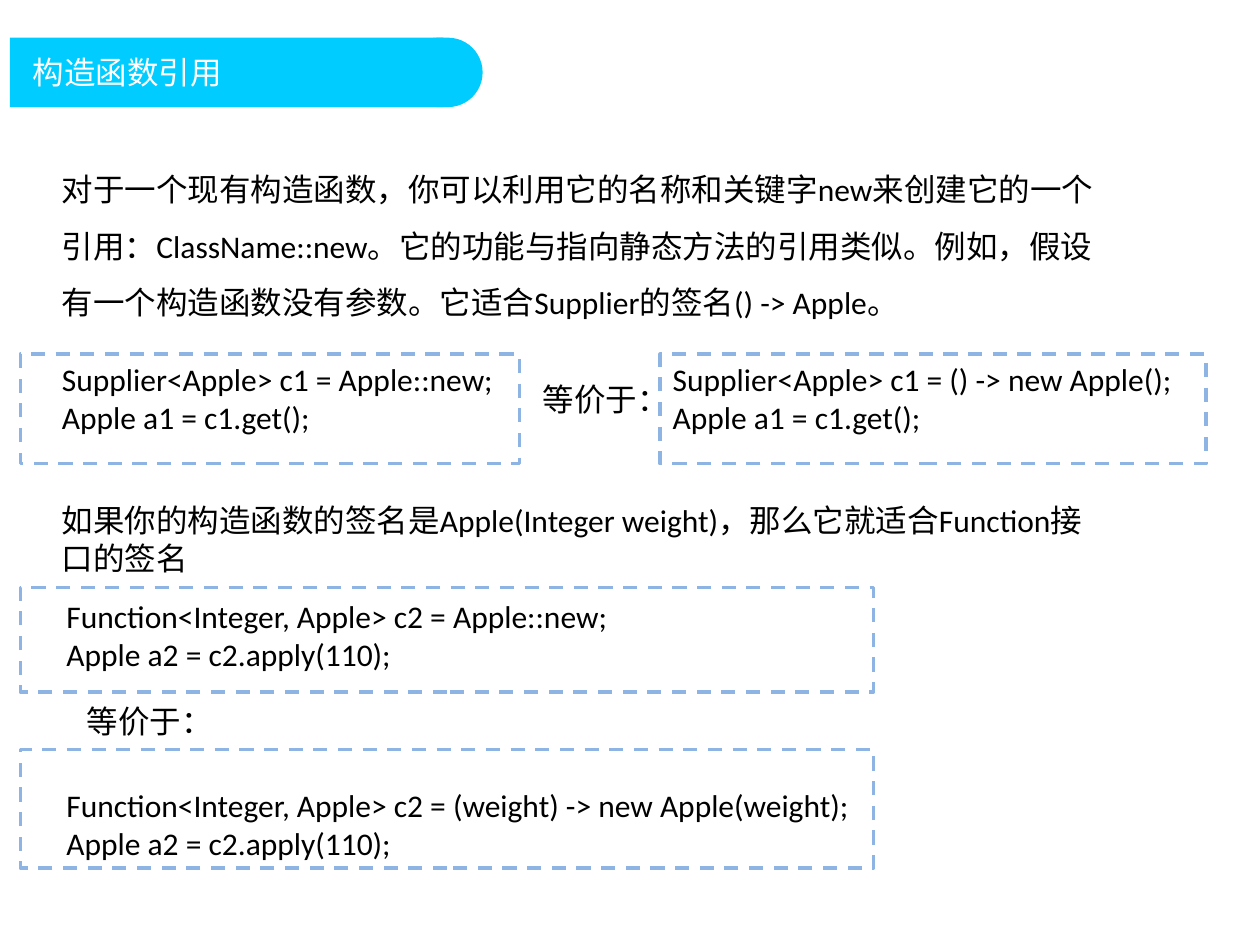
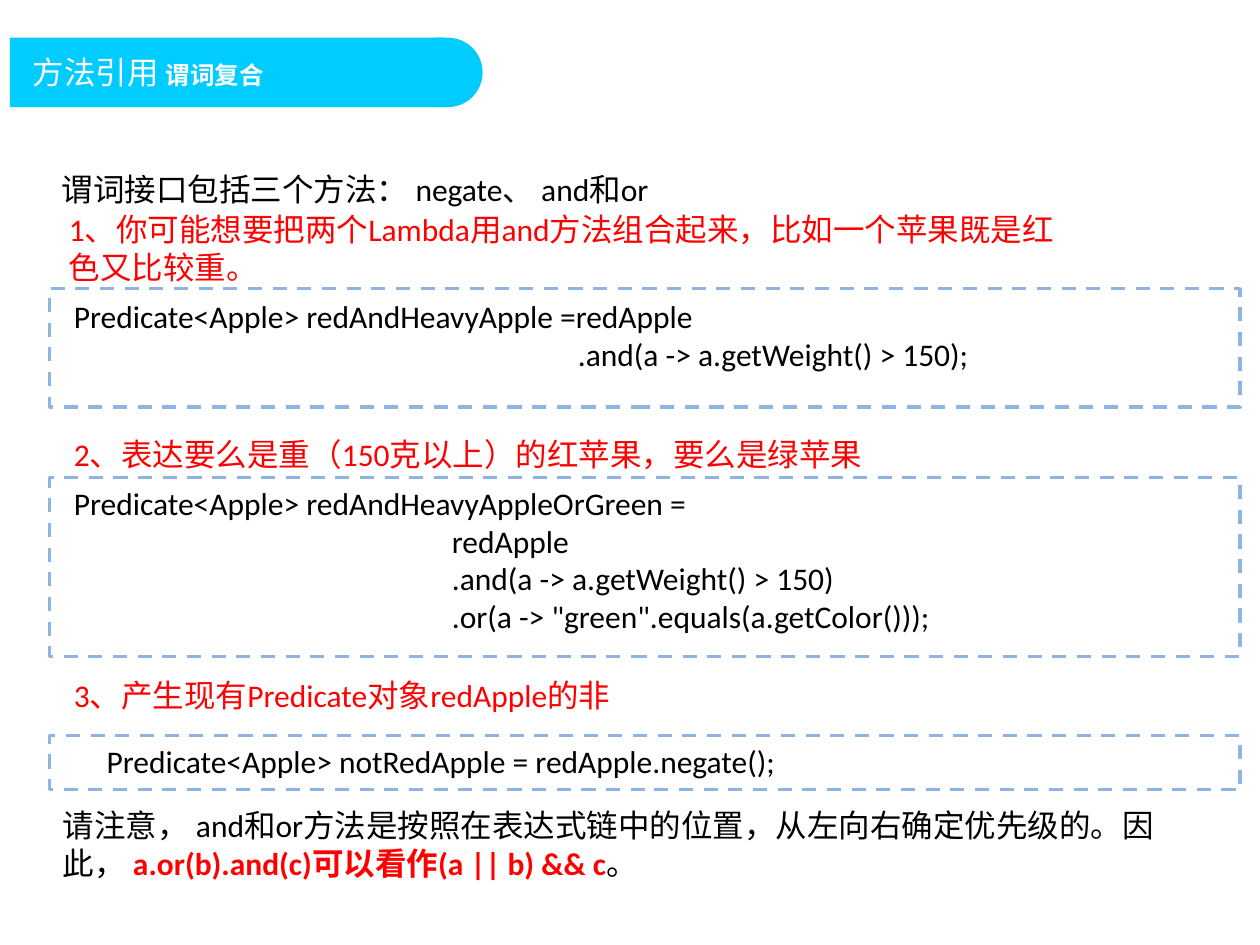
from pptx import Presentation
from pptx.dml.color import RGBColor
from pptx.enum.dml import MSO_LINE
from pptx.enum.shapes import MSO_SHAPE
from pptx.enum.text import MSO_ANCHOR
from pptx.util import Cm, Pt
from lxml.etree import SubElement

COLORS = {"band": "00CCFF", "dash": "8EB4E3", "text": "000000",
          "key": "FF0000", "title": "FFFFFF"}
LATIN, CJK = "Calibri", "Noto Sans CJK SC"
A = "{http://schemas.openxmlformats.org/drawingml/2006/main}"


def style_run(r, color, size=18, bold=False, font=LATIN):
    r.font.size, r.font.bold, r.font.name = Pt(size), bold, font
    r.font.color.rgb = RGBColor.from_string(COLORS[color])
    SubElement(r._r.get_or_add_rPr(), A + "ea").set("typeface", CJK)


def add_text(s, box, lines, color="text", font=LATIN, spacing=None, indent=0):
    """Add one paragraph per line; the indent (cm) applies after the first."""
    tf = s.shapes.add_textbox(*[Cm(v) for v in box]).text_frame
    tf.word_wrap = True
    for i, line in enumerate(lines):
        p = tf.paragraphs[0] if i == 0 else tf.add_paragraph()
        p.text = line
        p.line_spacing = spacing
        if i and indent:
            p._p.get_or_add_pPr().set("marL", str(Cm(indent)))
        style_run(p.runs[0], color, font=font)
    return tf


prs = Presentation()
prs.slide_width, prs.slide_height = Cm(25.4), Cm(19.05)

# Shared by both slides: title band, title and dashed code frames
slides = []
for title, frames in [
    ("构造函数引用", [(0.41, 7.14, 10.06, 2.21), (13.31, 7.14, 11, 2.21),
                (0.41, 11.84, 17.2, 2.11), (0.41, 15.11, 17.2, 2.39)]),
    ("方法引用 ", [(1, 5.82, 24, 2.39), (1, 9.63, 24, 3.61),
               (1, 14.83, 24, 1.09)]),
]:
    s = prs.slides.add_slide(prs.slide_layouts[6])
    for shape, left, width in [(MSO_SHAPE.RECTANGLE, 0.2, 8.74),
                               (MSO_SHAPE.ROUNDED_RECTANGLE, 8.13, 1.6)]:
        sp = s.shapes.add_shape(shape, Cm(left), Cm(0.76), Cm(width), Cm(1.4))
        sp.shadow.inherit = False
        sp.fill.solid()
        sp.fill.fore_color.rgb = RGBColor.from_string(COLORS["band"])
        sp.line.fill.background()
    sp.adjustments[0] = 0.5
    title_tf = add_text(s, (0.41, 0.36, 13.9, 2.2), [title], "title", CJK)
    title_tf.vertical_anchor = MSO_ANCHOR.MIDDLE
    for frame in frames:
        sp = s.shapes.add_shape(MSO_SHAPE.RECTANGLE, *[Cm(v) for v in frame])
        sp.shadow.inherit = False
        sp.fill.background()
        sp.line.color.rgb = RGBColor.from_string(COLORS["dash"])
        sp.line.width = Pt(2)
        sp.line.dash_style = MSO_LINE.DASH
    slides.append(s)

# Slide 1: constructor references
s = slides[0]
add_text(s, (1, 2.92, 21.9, 3.7), [
    "对于一个现有构造函数，你可以利用它的名称和关键字new来创建它的一个引用："
    "ClassName::new。它的功能与指向静态方法的引用类似。例如，假设有一个构造函数"
    "没有参数。它适合Supplier的签名() -> Apple。"], spacing=1.5)
for box, lines in [
    ((1, 7.14, 9.45, 1.8),
     ["Supplier<Apple> c1 = Apple::new;", "Apple a1 = c1.get();"]),
    ((10.69, 7.54, 3.3, 1.02), ["等价于："]),
    ((13.31, 7.14, 11, 1.8),
     ["Supplier<Apple> c1 = () -> new Apple();", "Apple a1 = c1.get();"]),
    ((1, 9.98, 21.46, 1.8),
     ["如果你的构造函数的签名是Apple(Integer weight)，那么它就适合Function接口的签名"]),
    ((1.09, 11.91, 11.63, 1.8),
     ["Function<Integer, Apple> c2 = Apple::new;", "Apple a2 = c2.apply(110);"]),
    ((1.5, 14.02, 3.3, 1.02), ["等价于："]),
    ((1.09, 15.72, 18.14, 1.8),
     ["Function<Integer, Apple> c2 = (weight) -> new Apple(weight);",
      "Apple a2 = c2.apply(110);"]),
]:
    add_text(s, box, lines)

# Slide 2: composing predicates
s = slides[1]
r = title_tf.paragraphs[0].add_run()
r.text = "谓词复合"
style_run(r, "title", 14, True, CJK)

add_text(s, (1, 2.92, 21.9, 1.42),
         ["谓词接口包括三个方法： negate、 and和or"], spacing=1.5)
for box, rule in [
    ((1.14, 4.11, 20.4, 1.8),
     "1、你可能想要把两个Lambda用and方法组合起来，比如一个苹果既是红色又比较重。"),
    ((1.24, 8.64, 20.88, 1.02), "2、表达要么是重（150克以上）的红苹果，要么是绿苹果"),
    ((1.24, 13.51, 15, 1.02), "3、产生现有Predicate对象redApple的非"),
]:
    add_text(s, box, [rule], "key")
for box, lines, indent in [
    ((1.24, 5.87, 20.68, 1.8),
     ["Predicate<Apple> redAndHeavyApple =redApple",
      ".and(a -> a.getWeight() > 150);"], 10.16),
    ((1.24, 9.63, 20.68, 3.33),
     ["Predicate<Apple> redAndHeavyAppleOrGreen =", "redApple",
      ".and(a -> a.getWeight() > 150)",
      ".or(a -> \"green\".equals(a.getColor()));"], 7.62),
    ((1.9, 14.83, 17.25, 1.02),
     ["Predicate<Apple> notRedApple = redApple.negate();"], 0),
]:
    add_text(s, box, lines, indent=indent)

tf = add_text(s, (1.02, 16.13, 22.66, 1.8), [
    "请注意， and和or方法是按照在表达式链中的位置，从左向右确定优先级的。因此， "])
for text, color, bold in [("a.or(b).and(c)可以看作(a || b) && c", "key", True),
                          ("。", "text", False)]:
    r = tf.paragraphs[0].add_run()
    r.text = text
    style_run(r, color, bold=bold)

prs.save("out.pptx")
